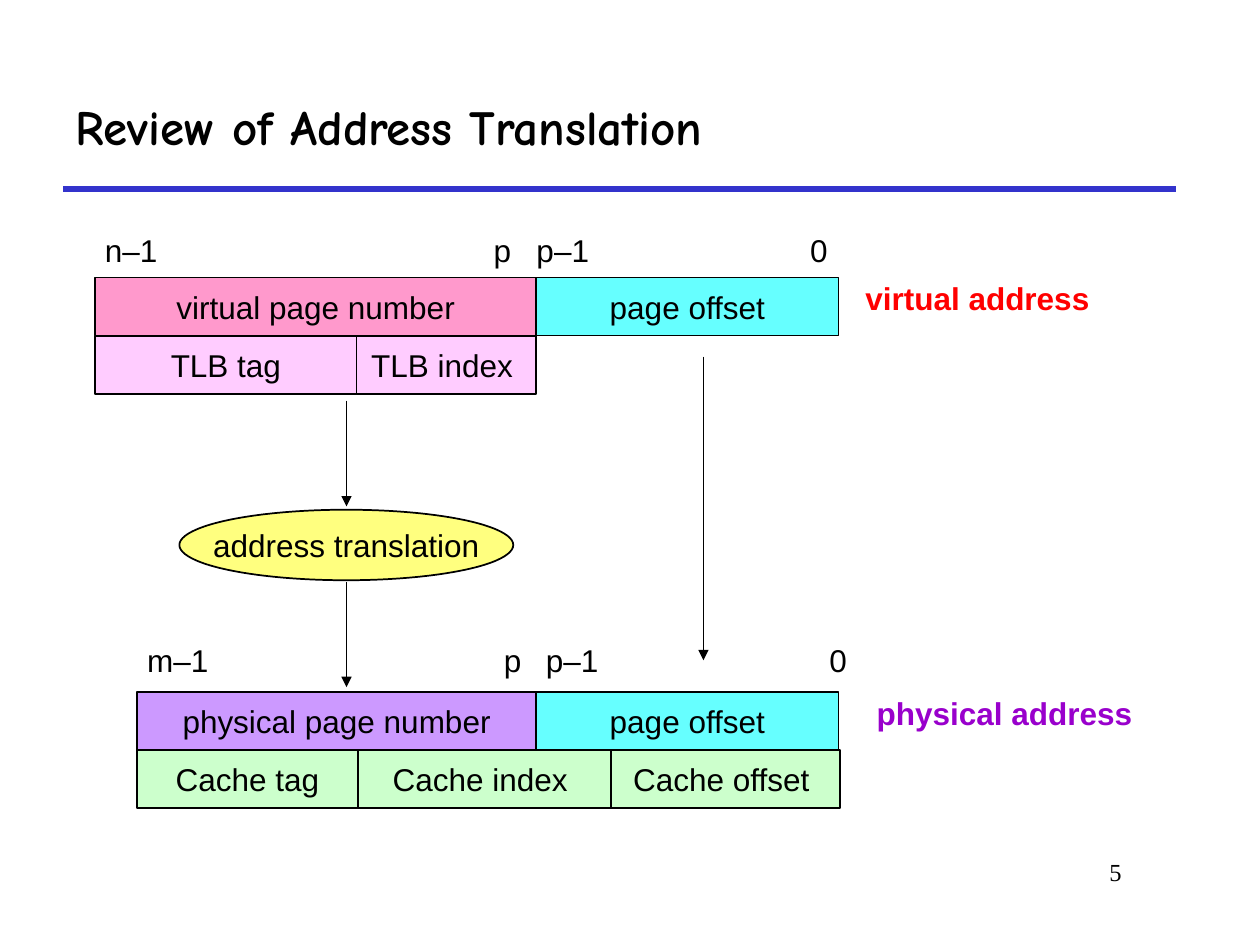
"""Builds a slide that reviews virtual to physical address translation."""
from dataclasses import dataclass

from lxml.etree import SubElement
from pptx import Presentation
from pptx.dml.color import RGBColor
from pptx.enum.shapes import MSO_CONNECTOR, MSO_SHAPE
from pptx.enum.text import MSO_ANCHOR, MSO_AUTO_SIZE, PP_ALIGN
from pptx.oxml.ns import qn
from pptx.util import Pt

BLACK = "000000"
ROW_HEIGHT = 33.2


@dataclass(frozen=True)
class Field:
    text: str
    width: float
    fill: str


@dataclass(frozen=True)
class Row:
    left: float
    top: float
    fields: tuple[Field, ...]


@dataclass(frozen=True)
class Label:
    text: str
    left: float
    top: float
    width: float
    height: float = 28.8
    size: float = 18
    font: str = "Arial"
    color: str = BLACK
    bold: bool = False
    wrap: bool = False
    align: PP_ALIGN = PP_ALIGN.LEFT
    anchor: MSO_ANCHOR = MSO_ANCHOR.TOP


@dataclass(frozen=True)
class Line:
    x1: float
    y1: float
    x2: float
    y2: float
    color: str = BLACK
    width: float = 1
    arrow: bool = True


PAGE_OFFSET = Field("page offset", 172.8, "66FFFF")

ROWS = (
    Row(54.4, 158.6, (Field("virtual page number", 252, "FF99CC"), PAGE_OFFSET)),
    Row(54.4, 191.8, (Field("TLB tag", 149.4, "FFCCFF"),
                      Field("TLB index ", 102.6, "FFCCFF"))),
    Row(78.3, 395.5, (Field("physical page number", 228.1, "CC99FF"), PAGE_OFFSET)),
    Row(78.3, 428.7, (Field("Cache tag", 126.2, "CCFFCC"),
                      Field("Cache index ", 144.7, "CCFFCC"),
                      Field("Cache offset ", 131, "CCFFCC"))),
)

BIT_ROWS = (
    (128.2, (("n–1", 52.8, 44.8), ("p", 275, 24.5), ("p–1", 299.5, 44.8), ("0", 455.8, 24.5))),
    (362.9, (("m–1", 77, 52), ("p", 280.8, 24.5), ("p–1", 304.8, 44.8), ("0", 466.8, 24.5))),
)

LABELS = (
    Label("Review of Address Translation", 36, 36, 636, 72, 28, "Comic Neue",
          bold=True, wrap=True, anchor=MSO_ANCHOR.MIDDLE),
    Label("virtual address", 487.4, 155.8, 142.6, color="FF0000", bold=True),
    Label("physical address", 493.9, 393.1, 160.6, color="9900CC", bold=True),
    Label("5", 545.8, 486, 102.2, 36, 14, "Times New Roman",
          wrap=True, align=PP_ALIGN.RIGHT),
)

LINES = (
    Line(36, 108, 672, 108, "3333CC", 3, False),
    Line(402, 203.8, 402, 377.3),
    Line(198, 229, 198, 289.4),
    Line(198, 332.6, 198, 392.6),
)


def rgb(value: str) -> RGBColor:
    return RGBColor.from_string(value)


def write(s, label: Label) -> None:
    tf = s.text_frame
    tf.word_wrap = label.wrap
    tf.vertical_anchor = label.anchor
    p = tf.paragraphs[0]
    p.alignment = label.align
    r = p.add_run()
    r.text = label.text
    r.font.name = label.font
    r.font.size = Pt(label.size)
    r.font.bold = label.bold
    r.font.color.rgb = rgb(label.color)


def add_label(slide, label: Label) -> None:
    s = slide.shapes.add_textbox(Pt(label.left), Pt(label.top),
                                 Pt(label.width), Pt(label.height))
    write(s, label)
    if not label.wrap:
        s.text_frame.auto_size = MSO_AUTO_SIZE.SHAPE_TO_FIT_TEXT


def add_block(slide, kind: MSO_SHAPE, text: str, left: float, top: float,
              width: float, height: float, fill: str):
    s = slide.shapes.add_shape(kind, Pt(left), Pt(top), Pt(width), Pt(height))
    s.shadow.inherit = False
    s.fill.solid()
    s.fill.fore_color.rgb = rgb(fill)
    s.line.color.rgb = rgb(BLACK)
    s.line.width = Pt(1)
    write(s, Label(text, left, top, width, height,
                   align=PP_ALIGN.CENTER, anchor=MSO_ANCHOR.MIDDLE))
    return s


def add_row(slide, row: Row) -> None:
    left = row.left
    for field in row.fields:
        add_block(slide, MSO_SHAPE.RECTANGLE, field.text, left, row.top,
                  field.width, ROW_HEIGHT, field.fill)
        left += field.width


def add_translation(slide) -> None:
    s = add_block(slide, MSO_SHAPE.OVAL, "address translation",
                  102.5, 291.3, 190.8, 40.3, "FFFF00")
    color = s.fill._xPr.find(qn("a:solidFill"))[0]
    SubElement(color, qn("a:alpha"), val="50000")


def add_line(slide, line: Line) -> None:
    s = slide.shapes.add_connector(MSO_CONNECTOR.STRAIGHT, Pt(line.x1), Pt(line.y1),
                                   Pt(line.x2), Pt(line.y2))
    s.line.color.rgb = rgb(line.color)
    s.line.width = Pt(line.width)
    if line.arrow:
        SubElement(s.line._get_or_add_ln(), qn("a:tailEnd"), type="triangle")
    SubElement(s._element.spPr, qn("a:effectLst"))


def main() -> None:
    prs = Presentation()
    prs.slide_width, prs.slide_height = Pt(720), Pt(540)
    slide = prs.slides.add_slide(prs.slide_layouts[6])
    for line in LINES:
        add_line(slide, line)
    for row in ROWS:
        add_row(slide, row)
    add_translation(slide)
    for label in LABELS:
        add_label(slide, label)
    for top, bits in BIT_ROWS:
        for text, left, width in bits:
            add_label(slide, Label(text, left, top, width))
    prs.save("out.pptx")


if __name__ == "__main__":
    main()
